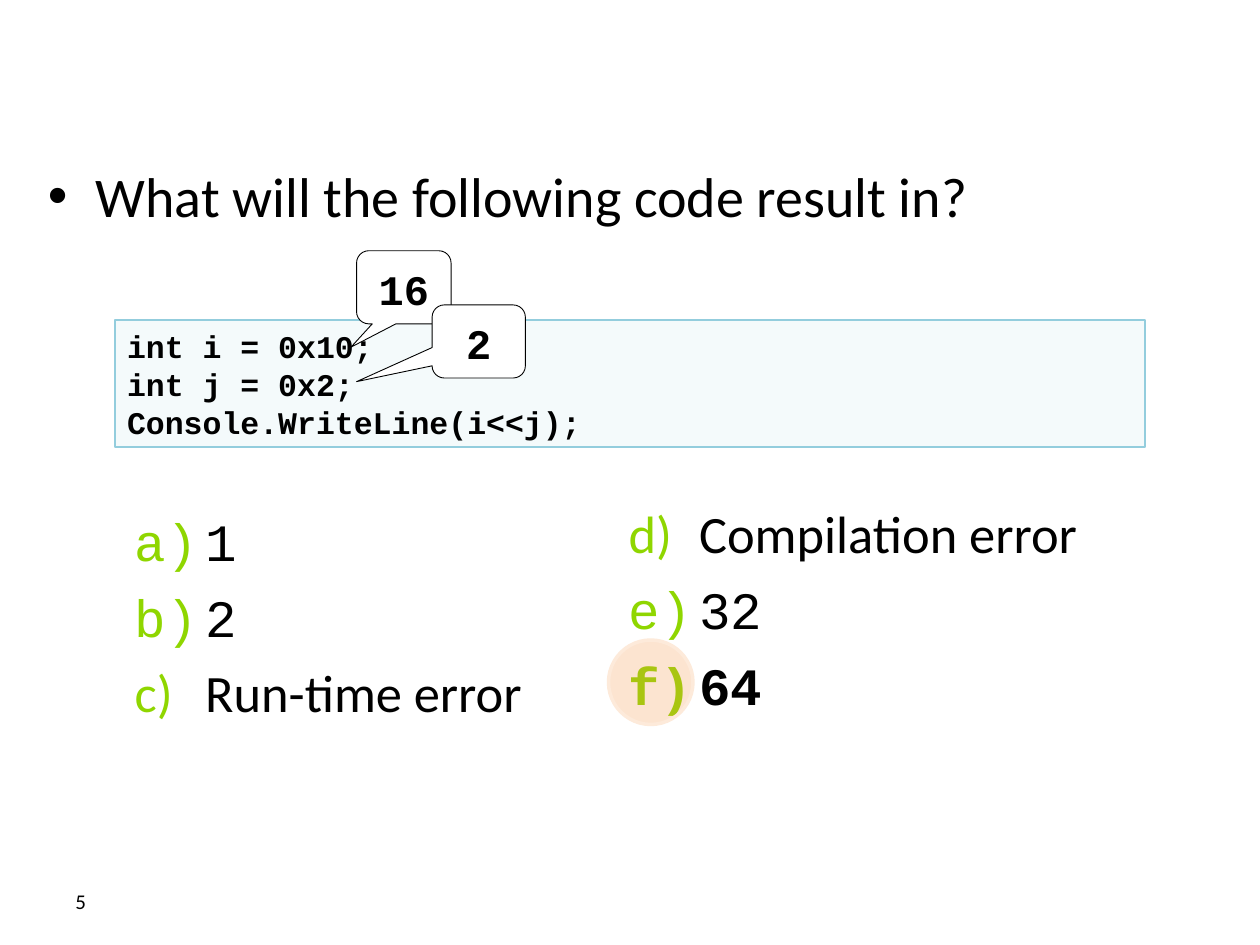
from lxml import etree
from pptx import Presentation
from pptx.dml.color import RGBColor
from pptx.enum.shapes import MSO_SHAPE
from pptx.enum.text import MSO_ANCHOR, PP_ALIGN
from pptx.oxml.ns import qn
from pptx.util import Inches, Pt

RECT, OVAL = MSO_SHAPE.RECTANGLE, MSO_SHAPE.OVAL
CALLOUT = MSO_SHAPE.ROUNDED_RECTANGULAR_CALLOUT
LEFT, CENTER = PP_ALIGN.LEFT, PP_ALIGN.CENTER
MIDDLE = MSO_ANCHOR.MIDDLE

BLACK = RGBColor(0x00, 0x00, 0x00)
WHITE = RGBColor(0xFF, 0xFF, 0xFF)
GREEN = RGBColor(0x8F, 0xD6, 0x00)
PALE_BLUE = RGBColor(0xB7, 0xDE, 0xE8)
BLUE = RGBColor(0x93, 0xCD, 0xDD)
ORANGE = RGBColor(0xF7, 0x96, 0x46)
PALE_ORANGE = RGBColor(0xFD, 0xEA, 0xDA)

BODY_FONT, CODE_FONT = "Calibri", "Courier New"


def add_run(p, text, size, font=BODY_FONT, bold=False):
    r = p.add_run()
    r.text = text
    r.font.size = Pt(size)
    r.font.name = font
    r.font.bold = bold
    r.font.color.rgb = BLACK


def paragraphs(tf, items):
    """Yield each item with its paragraph, reusing the frame's first one."""
    for i, item in enumerate(items):
        yield (tf.add_paragraph() if i else tf.paragraphs[0]), item


def set_indent(p, margin, indent):
    pPr = p._p.get_or_add_pPr()
    pPr.set("marL", str(Inches(margin)))
    pPr.set("indent", str(Inches(indent)))
    return pPr


def add_shape(s, kind, box, fill, line, width, opacity=100):
    sp = s.shapes.add_shape(kind, *map(Inches, box))
    sp.shadow.inherit = False
    sp.fill.solid()
    sp.fill.fore_color.rgb = fill
    sp.line.color.rgb = line
    sp.line.width = Pt(width)
    if opacity < 100:
        clr = sp._element.spPr.find(qn("a:solidFill"))[0]
        etree.SubElement(clr, qn("a:alpha")).set("val", str(opacity * 1000))
    return sp


def add_text_box(s, box):
    tf = s.shapes.add_textbox(*map(Inches, box)).text_frame
    tf.word_wrap = True
    return tf


def add_question(s, text):
    sp = s.placeholders[1]
    sp.left, sp.top, sp.width, sp.height = map(Inches, (0.28, 1.23, 9.5, 2.17))
    p = sp.text_frame.paragraphs[0]
    set_indent(p, 0.38, -0.38)
    add_run(p, text, 32)


def add_code(s, box, lines):
    sp = add_shape(s, RECT, box, PALE_BLUE, BLUE, 1, opacity=15)
    for p, line in paragraphs(sp.text_frame, lines):
        p.alignment = LEFT
        add_run(p, line, 18, CODE_FONT, bold=True)


def add_answers(s, box, start, answers):
    """Add a lettered list whose first letter is number start."""
    for p, (text, font, bold) in paragraphs(add_text_box(s, box), answers):
        p.level = 1
        p.line_spacing = 1.2
        pPr = set_indent(p, 0.95, -0.56)
        clr = etree.SubElement(pPr, qn("a:buClr"))
        etree.SubElement(clr, qn("a:srgbClr")).set("val", str(GREEN))
        num = etree.SubElement(pPr, qn("a:buAutoNum"))
        num.set("type", "alphaLcParenR")
        num.set("startAt", str(start))
        add_run(p, text, 30, font, bold)


def add_callout(s, box, tail, text):
    sp = add_shape(s, CALLOUT, box, WHITE, BLACK, 0.5)
    sp.adjustments[0], sp.adjustments[1] = tail
    sp.text_frame.vertical_anchor = MIDDLE
    p = sp.text_frame.paragraphs[0]
    p.alignment = CENTER
    p.line_spacing = Pt(30)
    add_run(p, text, 24, CODE_FONT, bold=True)


def add_slide_number(s, text):
    tf = add_text_box(s, (0.5, 6.95, 2.33, 0.4))
    tf.vertical_anchor = MIDDLE
    add_run(tf.paragraphs[0], text, 12)


def main():
    prs = Presentation()
    prs.slide_width, prs.slide_height = Inches(10), Inches(7.5)
    s = prs.slides.add_slide(prs.slide_layouts[1])
    title = s.shapes.title._element
    title.getparent().remove(title)

    add_question(s, "What will the following code result in?")
    add_slide_number(s, "5")
    add_code(s, (0.91, 2.54, 8.18, 1.01),
             ["int i = 0x10;", "int j = 0x2;", "Console.WriteLine(i<<j);"])
    add_answers(s, (4.5, 3.83, 4.42, 1.92), 4,
                [("Compilation error", BODY_FONT, False),
                 ("32", CODE_FONT, False),
                 ("64", CODE_FONT, True)])
    add_shape(s, OVAL, (4.83, 5.08, 0.67, 0.67), ORANGE, PALE_ORANGE, 2, opacity=25)
    add_answers(s, (0.58, 3.89, 3.75, 1.88), 1,
                [("1", CODE_FONT, False),
                 ("2", CODE_FONT, False),
                 ("Run-time error", BODY_FONT, False)])
    add_callout(s, (2.83, 1.99, 0.75, 0.58), (-0.56, 0.82), "16")
    add_callout(s, (3.43, 2.42, 0.74, 0.58), (-1.31, 0.55), "2")
    prs.save("out.pptx")


if __name__ == "__main__":
    main()
